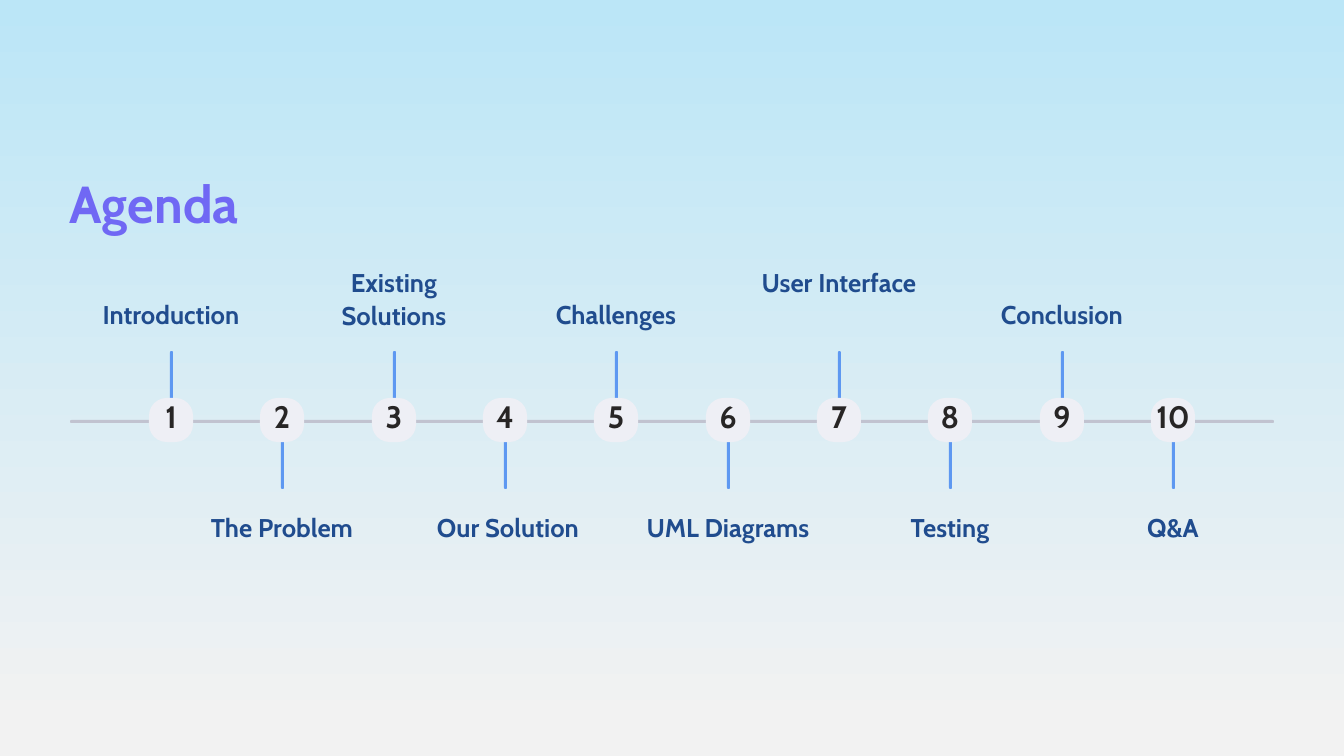
"""Build an agenda slide with a ten-step timeline."""
from dataclasses import dataclass

import pptx
import pptx.dml.color
import pptx.enum.shapes
import pptx.enum.text
import pptx.slide
import pptx.util

PX = 914400 / 100.8
SLIDE_SIZE = (1344, 756)
FIRST_CENTER = 171
LAST_CENTER = 1173
AXIS_TOP = 420
BAR = 3
STEM_LENGTH = 69
BADGE = 44
LABEL_WIDTH = 170
COLORS = {
    "sky": "BBE6F7",
    "mist": "F2F2F2",
    "title": "7068F4",
    "axis": "C1C3D0",
    "stem": "5E98F1",
    "badge": "EEEFF5",
    "number": "272525",
    "label": "204C8E",
}


@dataclass(frozen=True)
class Step:
    label: str
    label_top: int
    label_height: int = 33
    label_shift: int = 0


@dataclass(frozen=True)
class TextStyle:
    size: float
    line_spacing: float
    color: str
    alignment: pptx.enum.text.PP_ALIGN = pptx.enum.text.PP_ALIGN.CENTER


TITLE = TextStyle(37.1, 46.7, "title", pptx.enum.text.PP_ALIGN.LEFT)
NUMBER = TextStyle(22.1, 22.1, "number")
LABEL = TextStyle(18.3, 23.3, "label")

STEPS = [
    Step("Introduction", 297),
    Step("The Problem", 510),
    Step("Existing Solutions", 265, 65),
    Step("Our Solution", 510, label_shift=3),
    Step("Challenges", 297),
    Step("UML Diagrams", 510),
    Step("User Interface", 265),
    Step("Testing", 510),
    Step("Conclusion", 297),
    Step("Q&A", 510),
]


def px(length: int) -> pptx.util.Emu:
    return pptx.util.Emu(round(length * PX))


def rgb(name: str) -> pptx.dml.color.RGBColor:
    return pptx.dml.color.RGBColor.from_string(COLORS[name])


def paint_background(slide: pptx.slide.Slide) -> None:
    fill = slide.background.fill
    fill.gradient()
    fill.gradient_angle = 270
    for stop, color, position in zip(fill.gradient_stops, ("sky", "mist"), (0, 0.96)):
        stop.color.rgb = rgb(color)
        stop.position = position


def add_rounded(slide: pptx.slide.Slide, left: int, top: int, width: int,
                height: int, color: str, rounding: float = 0.5) -> None:
    shape = slide.shapes.add_shape(
        pptx.enum.shapes.MSO_SHAPE.ROUNDED_RECTANGLE,
        px(left), px(top), px(width), px(height))
    shape.adjustments[0] = rounding
    shape.shadow.inherit = False
    shape.fill.solid()
    shape.fill.fore_color.rgb = rgb(color)
    shape.line.fill.background()


def add_text(slide: pptx.slide.Slide, text: str, left: int, top: int,
             width: int, height: int, style: TextStyle) -> None:
    box = slide.shapes.add_textbox(px(left), px(top), px(width), px(height))
    frame = box.text_frame
    frame.word_wrap = True
    frame.margin_left = frame.margin_top = 0
    frame.margin_right = frame.margin_bottom = 0
    paragraph = frame.paragraphs[0]
    paragraph.alignment = style.alignment
    paragraph.line_spacing = pptx.util.Pt(style.line_spacing)
    run = paragraph.add_run()
    run.text = text
    run.font.name = "Cabin"
    run.font.size = pptx.util.Pt(style.size)
    run.font.bold = True
    run.font.color.rgb = rgb(style.color)


def add_step(slide: pptx.slide.Slide, index: int, step: Step) -> None:
    center = FIRST_CENTER + round(index * (LAST_CENTER - FIRST_CENTER) / (len(STEPS) - 1))
    stem_top = AXIS_TOP if index % 2 else AXIS_TOP - STEM_LENGTH
    badge_left = center - BADGE // 2
    label_left = center - LABEL_WIDTH // 2 + step.label_shift
    add_rounded(slide, center - 1, stem_top, BAR, STEM_LENGTH, "stem")
    add_rounded(slide, badge_left, AXIS_TOP - BADGE // 2, BADGE, BADGE, "badge", 0.4)
    add_text(slide, str(index + 1), badge_left, 404, BADGE, 31, NUMBER)
    add_text(slide, step.label, label_left, step.label_top,
             LABEL_WIDTH, step.label_height, LABEL)


def main() -> None:
    presentation = pptx.Presentation()
    presentation.slide_width, presentation.slide_height = map(px, SLIDE_SIZE)
    slide = presentation.slides.add_slide(presentation.slide_layouts[6])
    paint_background(slide)
    add_text(slide, "Agenda", 70, 169, 524, 66, TITLE)
    add_rounded(slide, 70, AXIS_TOP, 1204, BAR, "axis")
    for index, step in enumerate(STEPS):
        add_step(slide, index, step)
    presentation.save("out.pptx")


if __name__ == "__main__":
    main()
